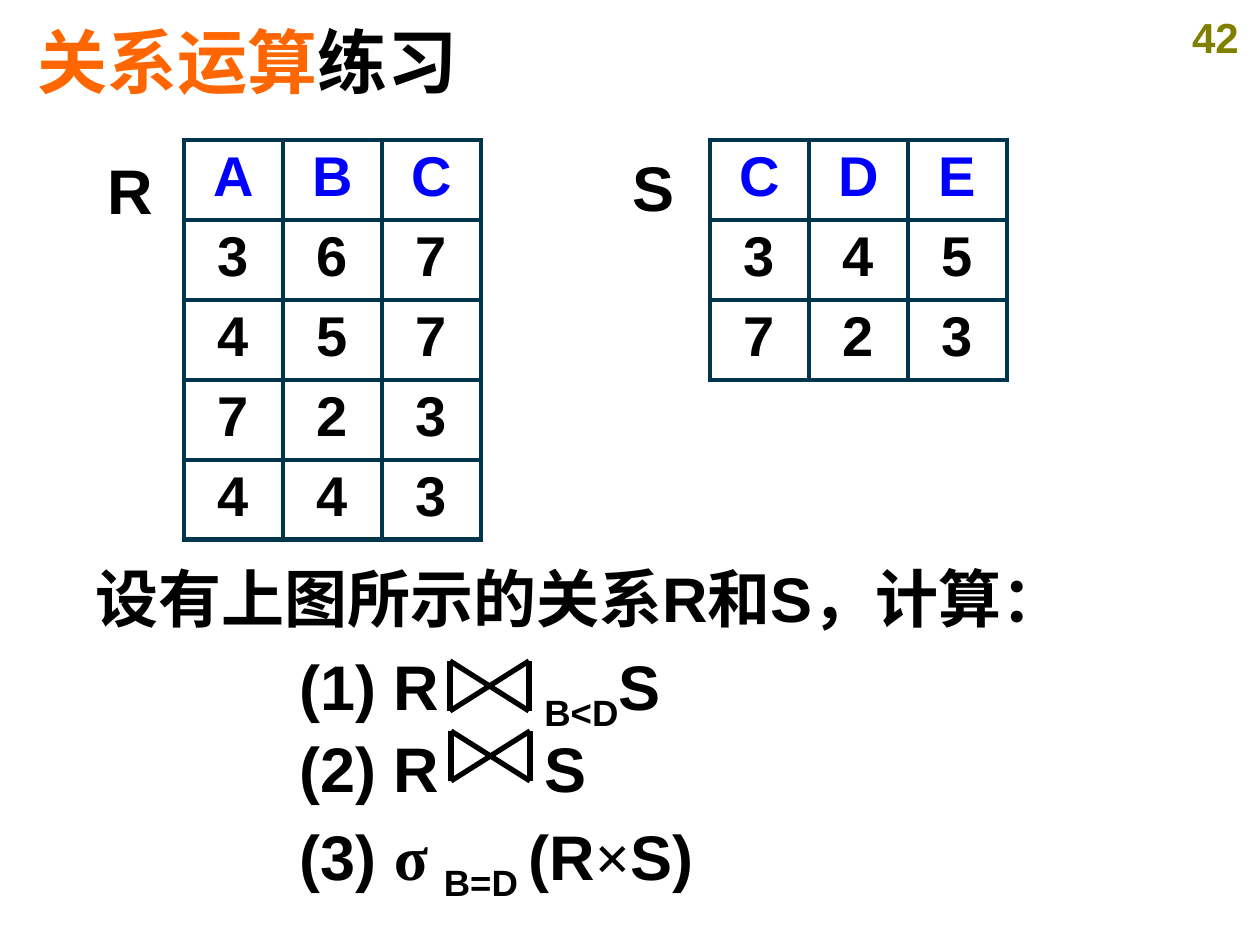
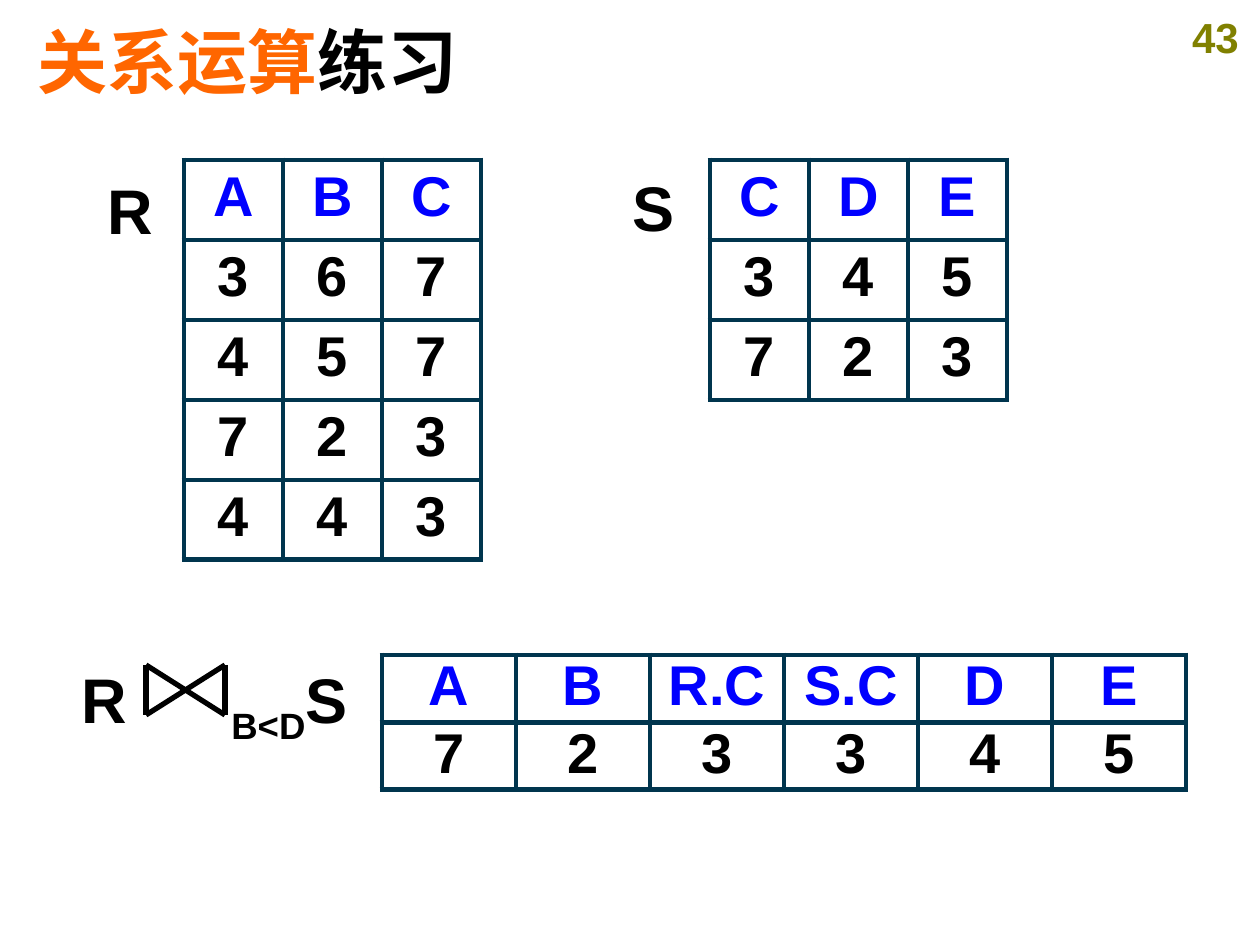
from itertools import product

from lxml.etree import SubElement
from pptx import Presentation
from pptx.dml.color import RGBColor
from pptx.enum.shapes import MSO_CONNECTOR
from pptx.enum.text import MSO_ANCHOR, PP_ALIGN
from pptx.oxml.ns import qn
from pptx.util import Emu, Pt

BLACK = RGBColor(0x00, 0x00, 0x00)
WHITE = RGBColor(0xFF, 0xFF, 0xFF)
ORANGE = RGBColor(0xFF, 0x66, 0x00)
BLUE = RGBColor(0x00, 0x00, 0xFF)
OLIVE = RGBColor(0x80, 0x80, 0x00)
NAVY = RGBColor(0x00, 0x35, 0x4E)

SANS, SERIF = "Arial", "Times New Roman"
SUB = {"subscript": True}
GREEK = {"font": SERIF}
BOWTIE_W, BOWTIE_H = 79, 50
COLUMN_W, ROW_H = 99, 80

RELATION_R = ["ABC", "367", "457", "723", "443"]
RELATION_S = ["CDE", "345", "723"]
THETA_JOIN = [["A", "B", "R.C", "S.C", "D", "E"], "723345"]


def px(n):
    return Emu(round(n * 914400 / 126))


def style(font, size, color=BLACK):
    font.name, font.size, font.bold = SANS, Pt(size), True
    font.color.rgb = color


def add_box(slide, x, y, w, h, wrap=True):
    frame = slide.shapes.add_textbox(px(x), px(y), px(w), px(h)).text_frame
    frame.word_wrap = wrap
    return frame


def write(paragraph, parts, size=36, tabs=()):
    """Fill a paragraph with (text, changes) parts, on tab stops given in px."""
    if tabs:
        stops = SubElement(paragraph._p.get_or_add_pPr(), qn("a:tabLst"))
        for stop in tabs:
            SubElement(stops, qn("a:tab"), pos=str(px(stop)), algn="l")
    style(paragraph.font, size)
    for text, changes in parts:
        run = paragraph.add_run()
        run.text = text
        if "font" in changes:
            run.font.name = changes["font"]
        if "color" in changes:
            run.font.color.rgb = changes["color"]
        if "subscript" in changes:
            run._r.get_or_add_rPr().set("baseline", "-25000")


def add_heading(slide, number):
    title = add_box(slide, 25, 26, 1193, 70)
    title.vertical_anchor = MSO_ANCHOR.MIDDLE
    write(title.paragraphs[0], [("关系运算", {"color": ORANGE}), ("练习", {})], 40)
    page = add_box(slide, 1171, 0, 89, 63).paragraphs[0]
    page.alignment = PP_ALIGN.CENTER
    page.line_spacing = 1.1
    write(page, [(str(number), {"color": OLIVE})], 24)


def add_label(slide, x, y, w, parts, tabs=(), wrap=False):
    label = add_box(slide, x, y, w, 88, wrap).paragraphs[0]
    label.line_spacing = 1.1
    write(label, parts, tabs=tabs)


def add_borders(cell):
    properties = cell._tc.get_or_add_tcPr()
    for position, side in enumerate(("a:lnL", "a:lnR", "a:lnT", "a:lnB")):
        line = properties.makeelement(qn(side), {"w": str(Pt(3))})
        fill = SubElement(line, qn("a:solidFill"))
        SubElement(fill, qn("a:srgbClr"), val=str(NAVY))
        properties.insert(position, line)


def add_relation(slide, x, y, rows, column_w=COLUMN_W, row_h=ROW_H, inset=6):
    """Draw a relation as a table: attribute names in blue, then its tuples."""
    n_rows, n_columns = len(rows), len(rows[0])
    table = slide.shapes.add_table(n_rows, n_columns, px(x), px(y),
                                   px(column_w * n_columns), px(row_h * n_rows)).table
    table.first_row = table.horz_banding = False
    for column in table.columns:
        column.width = px(column_w)
    for row in table.rows:
        row.height = px(row_h)
    for r, c in product(range(n_rows), range(n_columns)):
        cell = table.cell(r, c)
        cell.margin_top = cell.margin_bottom = px(inset)
        cell.fill.solid()
        cell.fill.fore_color.rgb = WHITE
        add_borders(cell)
        value = cell.text_frame.paragraphs[0]
        value.text = rows[r][c]
        value.alignment = PP_ALIGN.CENTER
        style(value.font, 32, BLACK if r else BLUE)


def add_relations(slide, y):
    """Place R and S side by side, each with its name to the left."""
    add_label(slide, 95, y - 2, 70, [("R", {})])
    add_relation(slide, 184, y, RELATION_R)
    add_label(slide, 620, y - 5, 67, [("S", {})])
    add_relation(slide, 710, y, RELATION_S)


def add_bowtie(slide, x, y):
    """Draw the join sign: two uprights and two diagonals."""
    right, bottom = x + BOWTIE_W, y + BOWTIE_H
    for x1, y1, x2, y2 in ((x, y, x, bottom), (right, y, right, bottom),
                           (x, y, right, bottom), (x, bottom, right, y)):
        stroke = slide.shapes.add_connector(MSO_CONNECTOR.STRAIGHT,
                                            px(x1), px(y1), px(x2), px(y2))
        stroke.line.color.rgb = BLACK
        stroke.line.width = Pt(3)
        SubElement(stroke._element.spPr, qn("a:effectLst"))


def add_questions(slide, x, y):
    lines = [
        ([("\t设有上图所示的关系R和S，计算：", {})], [58]),
        ([("\t(1) R\t", {}), ("B<D", SUB), ("S", {})], [262, 507]),
        ([("\t(2) R\tS", {})], [262, 507]),
        ([("\t(3) ", {}), ("σ ", GREEK), ("B=D ", SUB), ("(R", {}),
          ("×", GREEK), ("S)", {})], [262]),
    ]
    frame = add_box(slide, x, y, 1216, 318)
    for i, (parts, tabs) in enumerate(lines):
        line = frame.add_paragraph() if i else frame.paragraphs[0]
        line.line_spacing = 0.9
        if i:
            line.space_before = Pt(7)
        write(line, parts, tabs=tabs)
    add_bowtie(slide, x + 425, y + 99)
    add_bowtie(slide, x + 426, y + 169)


def add_join_result(slide, x, y):
    add_label(slide, x, y, 307, [("R\t", {}), ("B<D", SUB), ("S", {})], [150], True)
    add_bowtie(slide, x + 77, y + 19)
    add_relation(slide, x + 313, y + 9, THETA_JOIN, 134, 67, 0)


def main():
    deck = Presentation()
    deck.slide_width, deck.slide_height = px(1260), px(945)
    exercise, answer = (deck.slides.add_slide(deck.slide_layouts[6]) for _ in range(2))

    add_heading(exercise, 42)
    add_relations(exercise, 140)
    add_questions(exercise, 25, 562)

    add_heading(answer, 43)
    add_relations(answer, 160)
    add_join_result(answer, 69, 646)
    deck.save("out.pptx")


if __name__ == "__main__":
    main()
